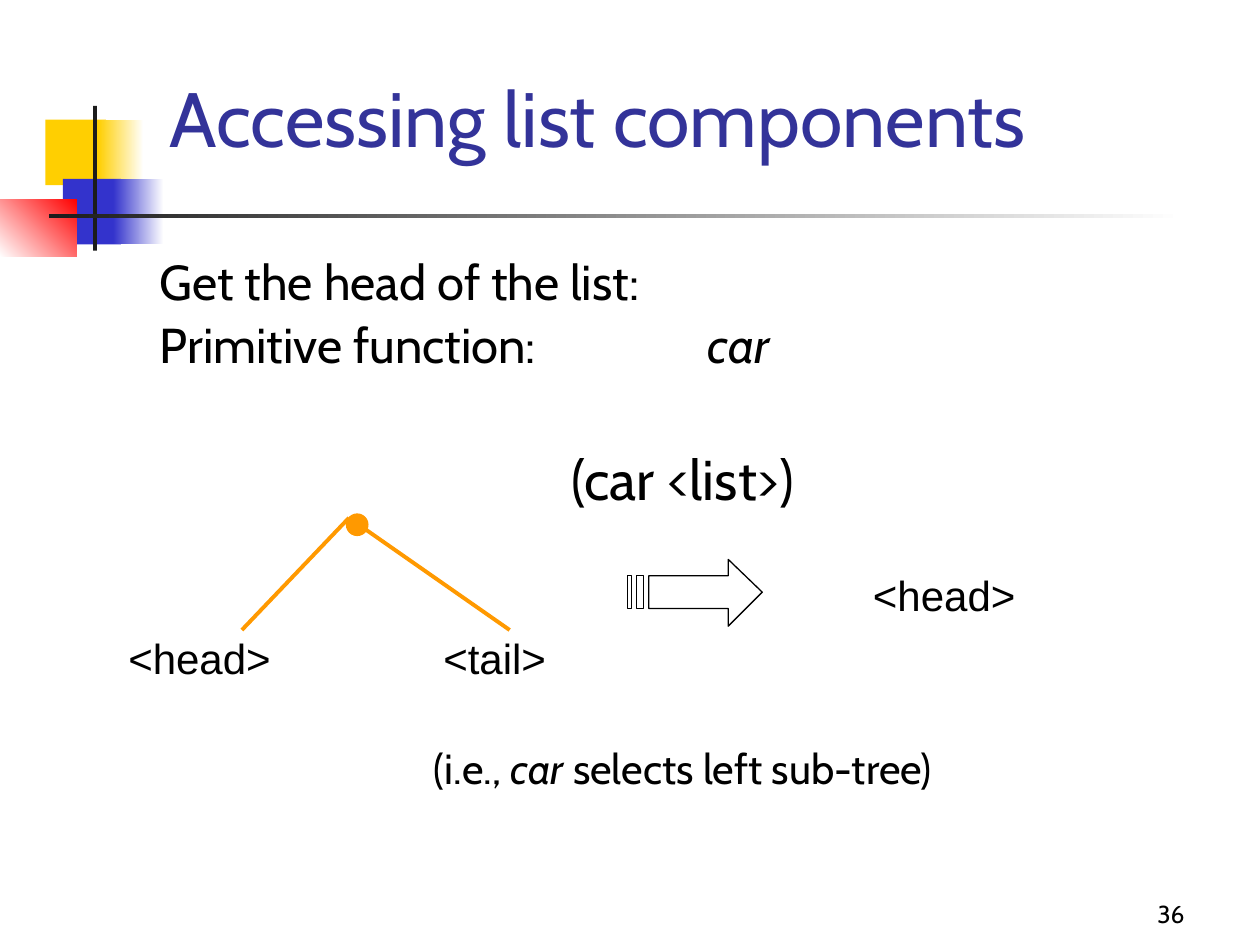
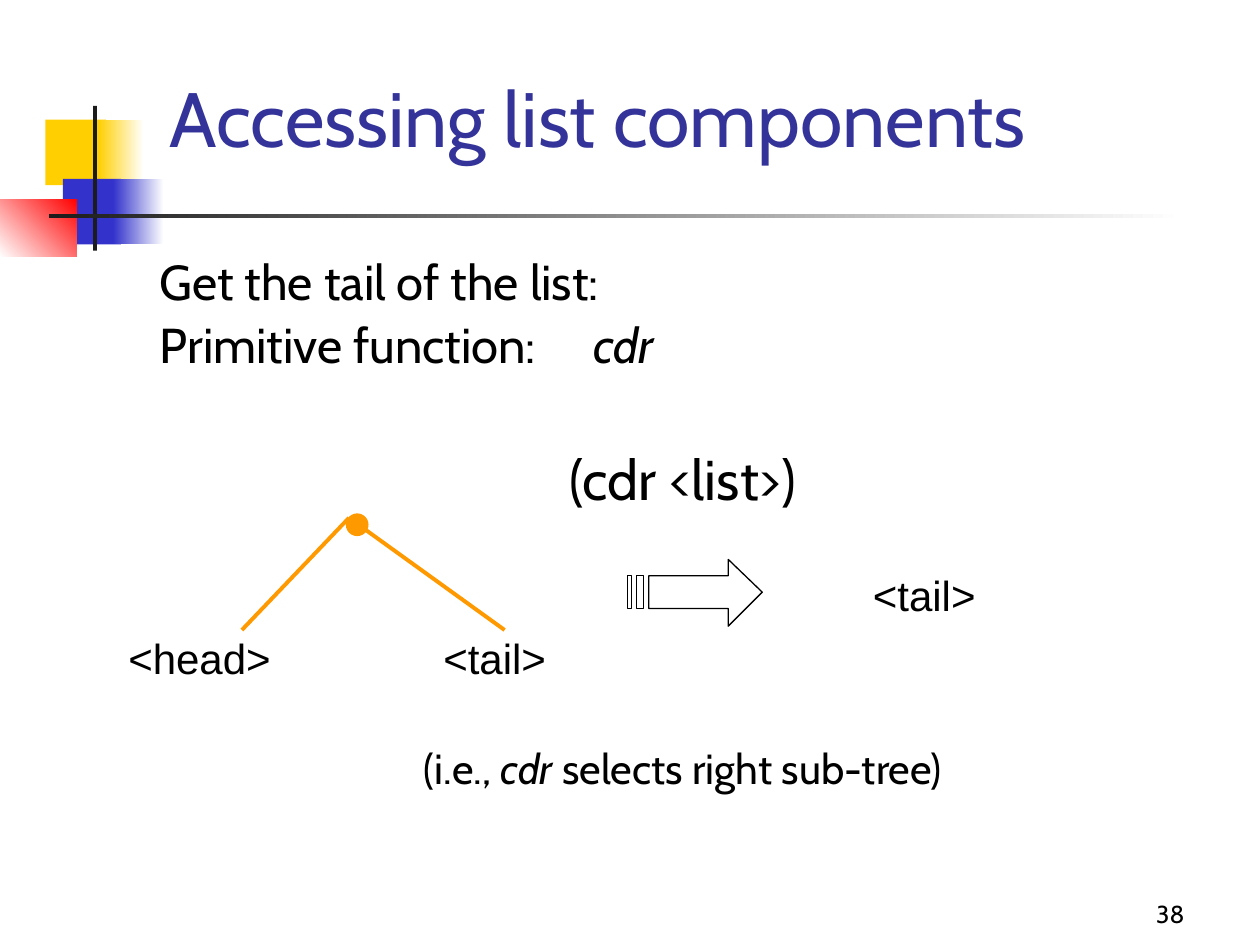
from pptx import Presentation
from pptx.dml.color import RGBColor
from pptx.enum import shapes, text
from pptx.oxml.ns import qn
from pptx.util import Inches, Pt
from lxml import etree

YELLOW = RGBColor(0xFF, 0xCF, 0x01)
BLUE = RGBColor(0x33, 0x33, 0xCC)
RED = RGBColor(0xFF, 0x00, 0x00)
DARK = RGBColor(0x1C, 0x1C, 0x1C)
NAVY = RGBColor(0x33, 0x33, 0x99)
ORANGE = RGBColor(0xFF, 0x99, 0x00)
BLACK = RGBColor(0x00, 0x00, 0x00)
WHITE = RGBColor(0xFF, 0xFF, 0xFF)
ALIGN = text.PP_ALIGN
LABEL = {"size": 24, "font": "Arial"}
LABEL_HEIGHT = 0.49
TREE_TOP = (2.77, 4.11)


def add_preset(slide, kind, box, fill, line=None):
    sp = slide.shapes.add_shape(kind, *map(Inches, box))
    sp.shadow.inherit = False
    if isinstance(fill, RGBColor):
        sp.fill.solid()
        sp.fill.fore_color.rgb = fill
    else:
        start, end, angle = fill
        sp.fill.gradient()
        sp.fill.gradient_angle = angle
        for stop, color in zip(sp.fill.gradient_stops, (start, end)):
            stop.color.rgb = color
    if line is None:
        sp.line.fill.background()
    else:
        sp.line.color.rgb = line
        sp.line.width = Pt(0.75)
    return sp


def add_tab(p, position):
    tabs = etree.SubElement(p._p.get_or_add_pPr(), qn("a:tabLst"))
    etree.SubElement(tabs, qn("a:tab"), pos=str(Inches(position)), algn="l")


def write(p, content, size=28, font="Cabin", color=BLACK, align=ALIGN.LEFT,
          spacing=0.96, before=0, tab=None):
    p.alignment = align
    p.line_spacing = spacing
    p.space_before = Pt(before)
    if tab:
        add_tab(p, tab)
    for i, part in enumerate(content.split("_")):
        if part:
            r = p.add_run()
            r.text = part
            r.font.size = Pt(size)
            r.font.name = font
            r.font.color.rgb = color
            r.font.italic = i % 2 == 1


def add_text(slide, box, content, anchor=text.MSO_ANCHOR.TOP, **fmt):
    sp = slide.shapes.add_textbox(*map(Inches, box))
    tf = sp.text_frame
    tf.word_wrap = True
    tf.vertical_anchor = anchor
    write(tf.paragraphs[0], content, **fmt)
    return sp


def add_label(slide, left, top, width, content):
    return add_text(slide, (left, top, width, LABEL_HEIGHT), content, **LABEL)


def add_branch(slide, label):
    cx = slide.shapes.add_connector(shapes.MSO_CONNECTOR.STRAIGHT, 0, 0,
                                    *map(Inches, TREE_TOP))
    cx.begin_connect(label, 0)
    cx.line.color.rgb = ORANGE
    cx.line.width = Pt(2.25)
    etree.SubElement(cx._element.spPr, qn("a:effectLst"))


def add_striped_arrow(slide):
    top, bottom, middle = 4.57, 4.83, 4.7
    outlines = [[(5.15, top), (5.78, top), (5.78, 4.44), (6.05, middle),
                 (5.78, 4.97), (5.78, bottom), (5.15, bottom)]]
    for left, right in ((4.98, 5.01), (5.05, 5.11)):
        outlines.append([(left, top), (right, top), (right, bottom), (left, bottom)])
    builder = None
    for outline in outlines:
        points = [(Inches(x), Inches(y)) for x, y in outline]
        if builder is None:
            builder = slide.shapes.build_freeform(*points[0])
        else:
            builder.move_to(*points[0])
        builder.add_line_segments(points[1:], close=True)
    sp = builder.convert_to_shape()
    sp.shadow.inherit = False
    sp.fill.background()
    sp.line.color.rgb = BLACK
    sp.line.width = Pt(0.75)


def add_frame(slide, title, number):
    bands = [
        ((0.36, 0.95, 0.48, 0.52), YELLOW),
        ((0.78, 0.95, 0.36, 0.52), (WHITE, YELLOW, 180)),
        ((0.5, 1.42, 0.46, 0.52), BLUE),
        ((0.9, 1.42, 0.4, 0.52), (WHITE, BLUE, 180)),
        ((0, 1.58, 0.61, 0.46), (RED, WHITE, 225)),
        ((0.74, 0.84, 0.03, 1.15), DARK),
        ((0.39, 1.7, 9, 0.03), (WHITE, DARK, 180)),
    ]
    for box, fill in bands:
        add_preset(slide, shapes.MSO_SHAPE.RECTANGLE, box, fill)
    add_text(slide, (1.25, 0.33, 8.53, 1.26), title, size=44, color=NAVY,
             anchor=text.MSO_ANCHOR.MIDDLE)
    add_text(slide, (7.42, 6.75, 2.08, 0.67), str(number), size=14, spacing=1.0,
             align=ALIGN.RIGHT, anchor=text.MSO_ANCHOR.BOTTOM)


def add_explanation(slide, function, part, side, tab):
    sp = add_text(slide, (1.17, 2, 8.5, 4.5), f"Get the {part} of the list:", spacing=0.9)
    lines = [
        (f"Primitive function:\t_{function}_", {"before": 5.8, "tab": tab}),
        (f"({function} <list>)", {"size": 32, "before": 44.4, "align": ALIGN.CENTER}),
        (f"(i.e., _{function}_ selects {side} sub-tree)",
         {"size": 24, "before": 135, "align": ALIGN.CENTER}),
    ]
    for content, fmt in lines:
        write(sp.text_frame.add_paragraph(), content, spacing=0.9, **fmt)


def add_tree(slide, tail_width):
    head = add_label(slide, 0.92, 5, 2, "<head>")
    tail = add_label(slide, 3.42, 5, tail_width, "<tail>")
    add_preset(slide, shapes.MSO_SHAPE.OVAL, (2.75, 4.08, 0.17, 0.17), ORANGE, ORANGE)
    for label in (head, tail):
        add_branch(slide, label)


def add_accessor_slide(prs, number, function, part, side, tab, tail_width):
    s = prs.slides.add_slide(prs.slide_layouts[6])
    add_frame(s, "Accessing list components", number)
    add_explanation(s, function, part, side, tab)
    add_striped_arrow(s)
    add_tree(s, tail_width)
    add_label(s, 6.83, 4.5, 2, f"<{part}>")


def main():
    prs = Presentation()
    prs.slide_width, prs.slide_height = Inches(10), Inches(7.5)
    add_accessor_slide(prs, 36, "car", "head", "left", tab=4.35, tail_width=1.25)
    add_accessor_slide(prs, 38, "cdr", "tail", "right", tab=3.44, tail_width=1.17)
    prs.save("out.pptx")


if __name__ == "__main__":
    main()
